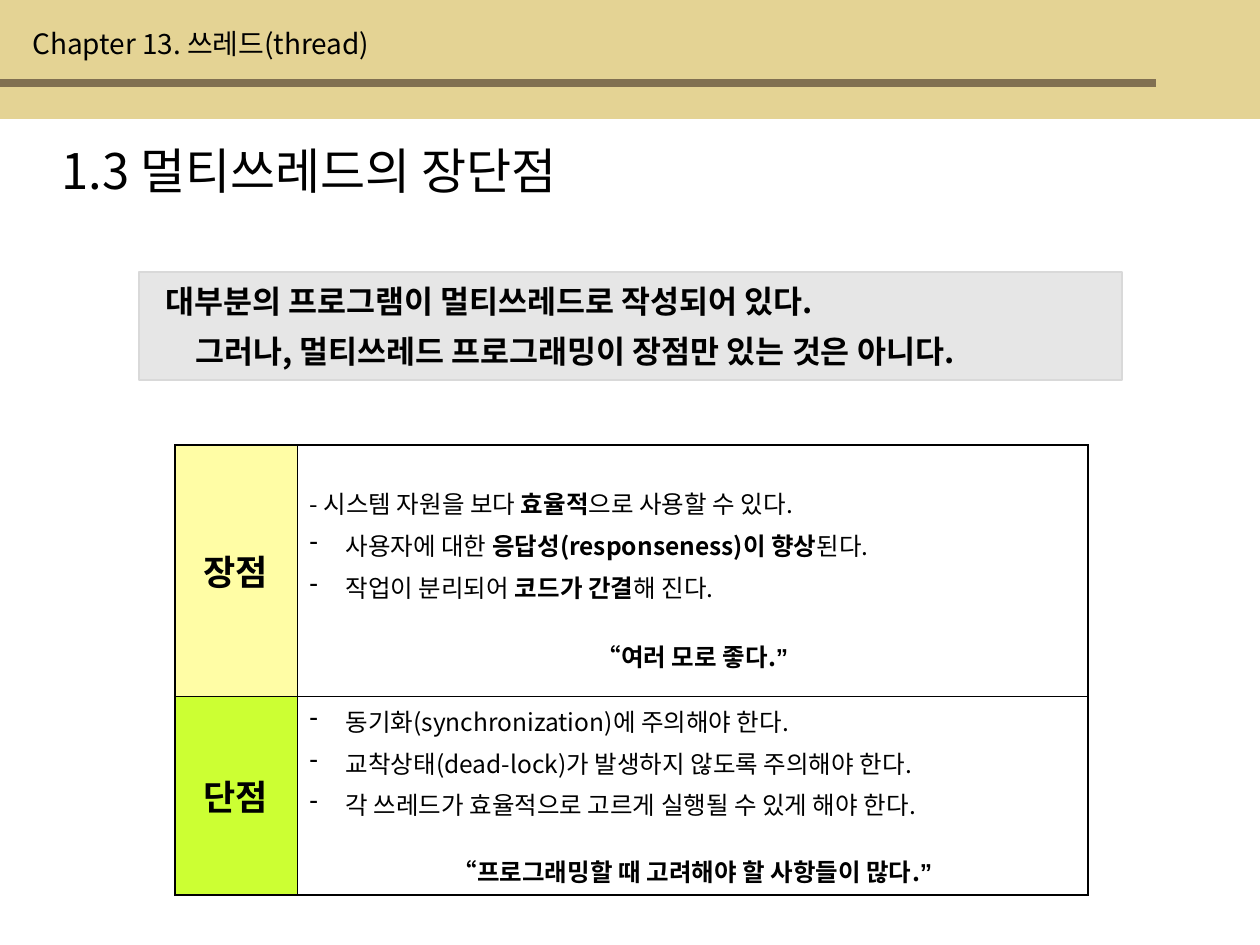
from lxml.etree import SubElement
from pptx import Presentation
from pptx.dml.color import RGBColor
from pptx.enum.shapes import MSO_SHAPE
from pptx.enum.text import MSO_ANCHOR, PP_ALIGN
from pptx.oxml.ns import qn
from pptx.util import Emu, Pt

FONT = "Noto Sans CJK KR"
QUOTE_FONT = "Arial"
BLACK = RGBColor(0, 0, 0)
SAND = RGBColor(0xE4, 0xD3, 0x94)
BROWN = RGBColor(0x81, 0x70, 0x51)
GRAY = RGBColor(0xE6, 0xE6, 0xE6)
GRAY_EDGE = RGBColor(0xD9, 0xD9, 0xD9)
YELLOW = RGBColor(0xFF, 0xFD, 0xA5)
LIME = RGBColor(0xCC, 0xFF, 0x33)
THICK, THIN = 1.08, 0.45


def px(value):
    return Emu(value * 914400 // 126)


class SlideBuilder:
    def __init__(self, page):
        self.page = page

    def bar(self, x, y, width, height, fill, edge=None):
        box = self.page.shapes.add_shape(
            MSO_SHAPE.RECTANGLE, px(x), px(y), px(width), px(height))
        box.shadow.inherit = False
        box.fill.solid()
        box.fill.fore_color.rgb = fill
        if edge is None:
            box.line.fill.background()
        else:
            box.line.color.rgb = edge
            box.line.width = Pt(0.74)
        return box

    def label(self, x, y, width, height, text, size):
        box = self.page.shapes.add_textbox(px(x), px(y), px(width), px(height))
        frame = box.text_frame
        frame.word_wrap = True
        frame.margin_top = frame.margin_bottom = 0
        self.set_text(frame.paragraphs[0], [(text, {})], size)

    def set_text(self, para, spans, size, bold=False, before=0,
                 align=PP_ALIGN.LEFT, left=0, bullet=None):
        para.alignment = align
        para.space_before = Pt(before)
        font = para.font
        font.size, font.bold, font.name = Pt(size), bold, FONT
        font.color.rgb = BLACK
        props = para._p.get_or_add_pPr()
        defaults = props.find(qn("a:defRPr"))
        SubElement(defaults, qn("a:ea")).set("typeface", FONT)
        props.set("marL", str(px(left)))
        props.set("indent", str(px(-left) if bullet else 0))
        if bullet:
            mark = SubElement(props, qn("a:buChar"))
            mark.set("char", bullet)
            defaults.addprevious(mark)
        for text, style in spans:
            span = para.add_run()
            span.text = text
            if "bold" in style:
                span.font.bold = style["bold"]
            if "font" in style:
                span.font.name = style["font"]

    def fill_frame(self, frame, lines):
        for index, (spans, options) in enumerate(lines):
            para = frame.add_paragraph() if index else frame.paragraphs[0]
            self.set_text(para, spans, **options)

    def borders(self, cell, widths):
        props = cell._tc.get_or_add_tcPr()
        for index, (side, width) in enumerate(zip("LRTB", widths)):
            line = SubElement(props, qn("a:ln" + side))
            line.set("w", str(Pt(width)))
            paint = SubElement(line, qn("a:solidFill"))
            SubElement(paint, qn("a:srgbClr")).set("val", str(BLACK))
            props.insert(index, line)

    def table(self, x, y, widths, heights, rows):
        frame = self.page.shapes.add_table(
            len(heights), len(widths), px(x), px(y), px(sum(widths)), px(sum(heights)))
        grid = frame.table
        grid.first_row = grid.horz_banding = False
        for column, width in zip(grid.columns, widths):
            column.width = px(width)
        for r, (height, cells) in enumerate(zip(heights, rows)):
            grid.rows[r].height = px(height)
            for c, (fill, top, lines) in enumerate(cells):
                cell = grid.cell(r, c)
                cell.vertical_anchor = MSO_ANCHOR.MIDDLE
                cell.margin_top, cell.margin_bottom = px(top), px(6)
                if fill is None:
                    cell.fill.background()
                else:
                    cell.fill.solid()
                    cell.fill.fore_color.rgb = fill
                self.fill_frame(cell.text_frame, lines)
                outer = (c == 0, c == len(widths) - 1, r == 0, r == len(heights) - 1)
                self.borders(cell, [THICK if edge else THIN for edge in outer])


def heading(text):
    return [([(text, {})], dict(size=20, bold=True, align=PP_ALIGN.CENTER))]


def point(*texts, before=3.5, bullet="-"):
    spans = [(text, {"bold": True} if i % 2 else {}) for i, text in enumerate(texts)]
    return spans, dict(size=14, before=before, bullet=bullet, left=36 if bullet else 0)


def quote(text, before):
    mark = {"font": QUOTE_FONT}
    return ([("“", mark), (text, {}), ("”", mark)],
            dict(size=14, bold=True, before=before, align=PP_ALIGN.CENTER))


deck = Presentation()
deck.slide_width, deck.slide_height = px(1260), px(945)
slide = SlideBuilder(deck.slides.add_slide(deck.slide_layouts[6]))

slide.bar(0, 0, 1260, 119, SAND)
slide.bar(0, 79, 1156, 8, BROWN)
slide.label(20, 27, 546, 46, "Chapter 13. 쓰레드(thread)", 16)
slide.label(49, 140, 1181, 72, "1.3 멀티쓰레드의 장단점", 28)

pros = [
    point("- 시스템 자원을 보다 ", "효율적", "으로 사용할 수 있다.", before=0, bullet=None),
    point("사용자에 대한 ", "응답성(responseness)이 향상", "된다."),
    point("작업이 분리되어 ", "코드가 간결", "해 진다."),
    quote("여러 모로 좋다.", 19),
]
cons = [
    point("동기화(synchronization)에 주의해야 한다.", before=0),
    point("교착상태(dead-lock)가 발생하지 않도록 주의해야 한다."),
    point("각 쓰레드가 효율적으로 고르게 실행될 수 있게 해야 한다."),
    quote("프로그래밍할 때 고려해야 할 사항들이 많다.", 17.5),
]
slide.table(175, 445, [122, 791], [251, 199], [
    [(YELLOW, 6, heading("장점")), (None, 24, pros)],
    [(LIME, 6, heading("단점")), (None, 6, cons)],
])

summary = slide.bar(139, 272, 983, 108, GRAY, GRAY_EDGE).text_frame
summary.word_wrap = True
summary.vertical_anchor = MSO_ANCHOR.MIDDLE
slide.fill_frame(summary, [
    ([("대부분의 프로그램이 멀티쓰레드로 작성되어 있다.", {})],
     dict(size=18, bold=True, left=14)),
    ([("그러나, 멀티쓰레드 프로그래밍이 장점만 있는 것은 아니다.", {})],
     dict(size=18, bold=True, left=44, before=7)),
])

deck.save("out.pptx")
